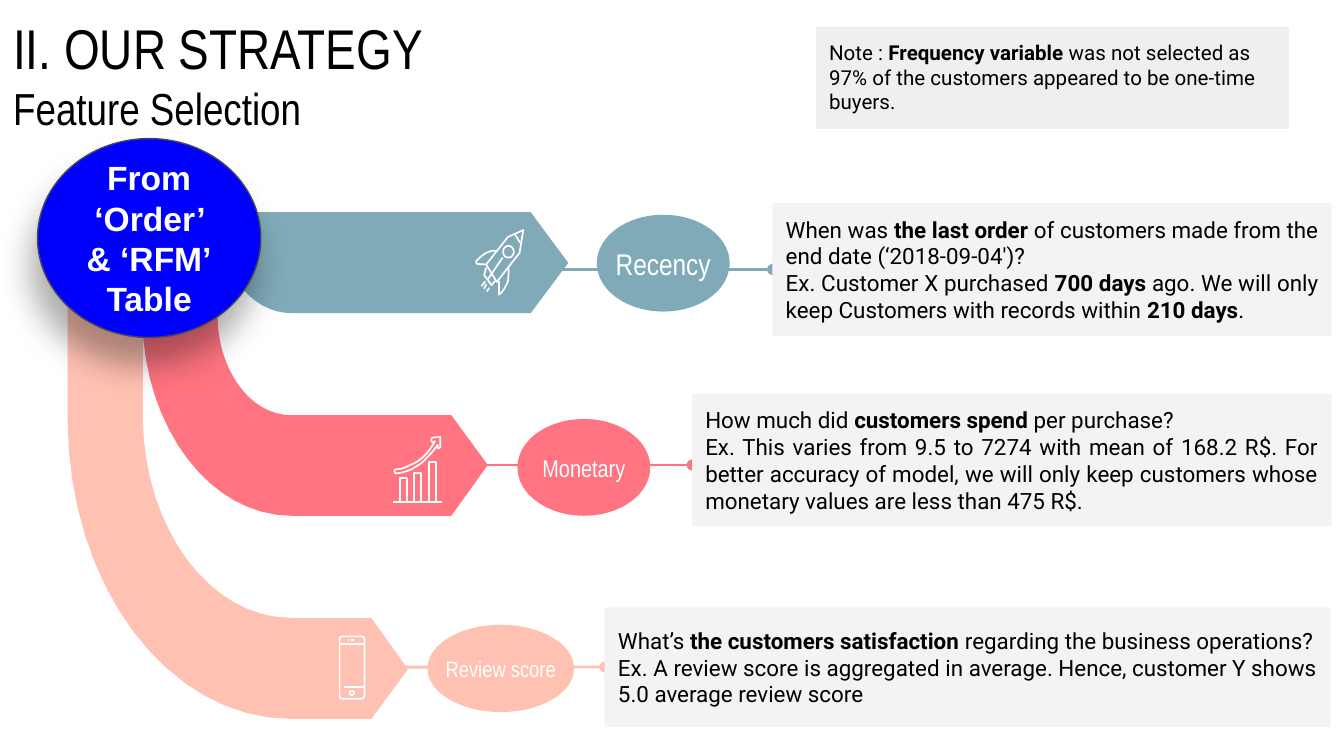
from pptx import Presentation
from pptx.dml.color import RGBColor
from pptx.enum.shapes import MSO_CONNECTOR as Link, MSO_SHAPE as Kind
from pptx.enum.text import MSO_ANCHOR as Anchor, PP_ALIGN as Align
from pptx.oxml import parse_xml
from pptx.oxml.ns import nsdecls, qn
from pptx.util import Cm, Pt

INSET = Cm(0.25)
BODY = {"name": "Roboto", "size": Pt(12)}
NARROW = "Arial Narrow"


def hue(code):
    return RGBColor.from_string(code)


def put(obj, vals):
    for key, val in vals.items():
        setattr(obj, key, val)


def xml(text):
    return parse_xml(text.replace(">", f" {nsdecls('a')}>", 1))


def paint(shape, fill=None, line=None, width=0.75):
    shape.shadow.inherit = False
    if fill:
        shape.fill.solid()
        shape.fill.fore_color.rgb = hue(fill)
    else:
        shape.fill.background()
    if line:
        shape.line.color.rgb = hue(line)
        shape.line.width = Pt(width)
    else:
        shape.line.fill.background()


def write(shape, paras, fonts, color="000000", align=Align.LEFT,
          anchor=Anchor.MIDDLE, wrap=True):
    """Fill a shape with paragraphs; **marks** set bold runs."""
    frame = shape.text_frame
    put(frame, {"word_wrap": wrap, "vertical_anchor": anchor,
                "margin_left": INSET, "margin_right": INSET,
                "margin_top": INSET, "margin_bottom": INSET})
    for i, (text, font) in enumerate(zip(paras, fonts)):
        para = frame.paragraphs[0] if i == 0 else frame.add_paragraph()
        para.alignment = align
        for j, part in enumerate(text.split("**")):
            if part:
                run = para.add_run()
                run.text = part
                put(run.font, {"bold": j % 2 == 1, **font})
                run.font.color.rgb = hue(color)


def add(slide, kind, box, fill, line=None):
    shape = slide.shapes.add_shape(kind, *map(Cm, box))
    paint(shape, fill, line)
    return shape


def bend(pts, steps=16):
    """Points along a cubic curve, without its start."""
    for i in range(1, steps + 1):
        t = i / steps
        u = 1 - t
        mix = (u ** 3, 3 * u * u * t, 3 * u * t * t, t ** 3)
        yield tuple(sum(m * p[k] for m, p in zip(mix, pts)) for k in (0, 1))


def trace(slide, left, top, path, **look):
    """Draw a path of M, L, C and Z steps, in cm from left and top."""
    build, here = None, None
    words = iter(path.split())
    for step in words:
        if step == "Z":
            build.add_line_segments([], close=True)
            continue
        count = 3 if step == "C" else 1
        pts = [(float(next(words)), float(next(words))) for _ in range(count)]
        spot = Cm(pts[0][0]), Cm(pts[0][1])
        if step == "M" and build is None:
            build = slide.shapes.build_freeform(*spot, scale=1.0)
        elif step == "M":
            build.move_to(*spot)
        else:
            line = bend([here] + pts) if step == "C" else pts
            build.add_line_segments([(Cm(x), Cm(y)) for x, y in line], close=False)
        here = pts[-1]
    paint(build.convert_to_shape(Cm(left), Cm(top)), **look)


def ring(x, y, a, b):
    """Path of an ellipse with centre x, y and radii a, b."""
    p, q = 0.55 * a, 0.55 * b
    return (f" M {x} {y - b} C {x + p} {y - b} {x + a} {y - q} {x + a} {y}"
            f" C {x + a} {y + q} {x + p} {y + b} {x} {y + b}"
            f" C {x - p} {y + b} {x - a} {y + q} {x - a} {y}"
            f" C {x - a} {y - q} {x - p} {y - b} {x} {y - b} Z")


def bar(x, top, wide=0.13, base=1.26):
    return f" M {x} {base} L {x} {top} L {x + wide} {top} L {x + wide} {base}"


ROCKET = ("M 0.9 0.01 L 0.61 0.14 L 0.2 0.66 L 0.4 0.99 L 0.83 0.44 Z"
          " M 0.75 0.1 L 0.84 0.25"
          " M 0.41 0.41 L 0.33 0.4 C 0.2 0.42 0.1 0.5 0.01 0.6"
          " C 0.01 0.64 0.02 0.65 0.04 0.65 L 0.2 0.66"
          " M 0.44 0.97 L 0.44 1.23 C 0.5 1.2 0.56 1.1 0.61 0.98"
          " C 0.62 0.9 0.63 0.8 0.62 0.72"
          " M 0.2 0.72 L 0.16 0.86 L 0.3 1.05 L 0.37 0.97 M 0.51 0.53 L 0.23 0.94"
          " M 0.18 0.98 L 0.11 1.07 M 0.2 1.03 L 0.16 1.12 M 0.26 1.1 L 0.21 1.17"
          + ring(0.62, 0.42, 0.1, 0.11))
CHART = ("M 0.01 1.26 L 0.93 1.26" + bar(0.14, 0.81) + bar(0.41, 0.71) + bar(0.69, 0.5)
         + " M 0.08 0.72 C 0.08 0.72 0.2 0.71 0.36 0.64 C 0.46 0.58 0.56 0.53 0.64 0.43"
         " C 0.71 0.36 0.79 0.28 0.85 0.18 L 0.86 0.25 L 0.9 0.23 L 0.9 0.03"
         " L 0.76 0.04 C 0.72 0.06 0.72 0.12 0.77 0.13 L 0.8 0.11"
         " C 0.66 0.38 0.48 0.51 0.33 0.56 C 0.2 0.64 0.08 0.64 0.08 0.64"
         " C 0.02 0.64 0.02 0.72 0.08 0.72 Z")
PHONE = ("M 0.07 0.02 L 0.43 0.02 C 0.47 0.02 0.49 0.05 0.49 0.1 L 0.49 1.12"
         " C 0.49 1.17 0.47 1.2 0.43 1.2 L 0.07 1.2 C 0.03 1.2 0.02 1.17 0.02 1.12"
         " L 0.02 0.1 C 0.02 0.05 0.03 0.02 0.07 0.02 Z"
         " M 0.02 0.16 L 0.49 0.16 M 0.1 0.98 L 0.49 0.98"
         " M 0.18 0.09 L 0.2 0.09 M 0.24 0.09 L 0.3 0.09" + ring(0.25, 1.09, 0.04, 0.04))

# Each row: colour, label and size, pill, note box, line start and height, arrow, icon, text
ROWS = [
    ("80AAB7", "Recency", 16, (11.28, 4.06, 2.51, 1.83), (14.6, 3.84, 10.57, 2.51), 10.03, None,
     (4.11, 4.01, "M 0 0 C 0 1.07 0.61 1.91 1.4 1.91 L 5.92 1.91 L 6.63 0.96 L 5.92 0 Z"),
     (8.99, 4.34, ROCKET),
     ["When was **the last order **of customers made from the end date (‘2018-09-04')?",
      "Ex. Customer X purchased **700 days** ago. We will only keep Customers with records "
      "within **210 days**."]),
    ("FF7480", "Monetary", 13, (9.78, 7.92, 2.51, 1.83), (13.08, 7.44, 12.09, 2.51), 8.46, 8.79,
     (2.69, 4.01, "M 0 0 L 0 2.06 C 0.05 4.11 1.3 5.74 2.82 5.74 L 5.84 5.74 L 6.53 4.78"
      " L 5.84 3.84 L 2.82 3.84 C 2.03 3.84 1.42 2.97 1.42 1.93 L 1.42 0 Z"),
     (7.42, 8.23, CHART),
     ["How much did **customers spend** per purchase?",
      "Ex. This varies from 9.5 to 7274 with mean of 168.2 R$. For better accuracy of model, "
      "we will only keep customers whose monetary values are less than 475 R$."]),
    ("FFC1B1", "Review score", 12, (8.08, 11.81, 2.77, 1.65), (11.43, 11.48, 13.72, 2.26), 6.86, None,
     (1.28, 4.01, "M 0 0 L 0 3.91 C 0 7.06 1.9 9.58 4.22 9.58 L 5.74 9.58 L 6.43 8.64"
      " L 5.74 7.67 L 4.22 7.67 C 2.69 7.67 1.45 5.99 1.42 3.91 L 1.42 0 Z"),
     (6.4, 12.01, PHONE),
     ["What’s **the customers satisfaction **regarding the business operations?",
      "Ex. A review score is aggregated in average. Hence, customer Y shows 5.0 average "
      "review score"]),
]


def row(slide, color, label, size, pill, box, start, high, arrow, icon, paras):
    # Line with a round end at the note
    left, top, _, tall = box
    y = Cm(high or top + tall / 2)
    line = slide.shapes.add_connector(Link.STRAIGHT, Cm(start), y, Cm(left), y)
    line.line.color.rgb = hue(color)
    line.line.width = Pt(1.5)
    props = line.element.spPr
    props.find(qn("a:ln")).append(xml('<a:tailEnd type="oval"></a:tailEnd>'))
    props.append(xml("<a:effectLst></a:effectLst>"))
    # Note
    note = add(slide, Kind.RECTANGLE, box, "F3F3F3")
    write(note, paras, [BODY] * 2, align=Align.JUSTIFY)
    if high is None:
        line.end_connect(note, 1)
    # Pill
    write(add(slide, Kind.OVAL, pill, color), [label], [{"name": NARROW, "size": Pt(size)}],
          "FFFFFF", Align.CENTER, wrap=False)
    # Arrow and icon
    trace(slide, *arrow, fill=color)
    trace(slide, *icon, line="FFFFFF", width=0.9)


def head(slide, box):
    title = slide.shapes.add_textbox(*map(Cm, box))
    write(title, ["II. OUR STRATEGY", "Feature Selection"],
          [{"name": NARROW, "size": Pt(n)} for n in (30, 24)], anchor=Anchor.TOP)


def hub(slide, box):
    disc = add(slide, Kind.FLOWCHART_CONNECTOR, box, "0000FF", "474758")
    font = {"name": "Arial", "size": Pt(18), "bold": True}
    write(disc, ["From ‘Order’ & ‘RFM’", "Table"], [font] * 2, "FFFFFF", Align.CENTER)
    disc.element.spPr.find(qn("a:effectLst")).append(xml(
        f'<a:outerShdw blurRad="{Pt(18)}" dist="{Pt(15)}" dir="{103 * 60000}" rotWithShape="0">'
        '<a:srgbClr val="000000"><a:alpha val="33000"/></a:srgbClr></a:outerShdw>'))


def remark(slide, box):
    write(add(slide, Kind.RECTANGLE, box, "EFEFEF"),
          ["Note : **Frequency variable** was not selected as 97% of the customers "
           "appeared to be one-time buyers."],
          [{**BODY, "size": Pt(11)}], anchor=Anchor.TOP)


def main():
    deck = Presentation()
    put(deck, {"slide_width": Cm(25.4), "slide_height": Cm(14.29)})
    slide = deck.slides.add_slide(deck.slide_layouts[6])
    head(slide, (0, 0, 24.41, 1.6))
    for item in ROWS:
        row(slide, *item)
    hub(slide, (0.71, 2.62, 4.22, 3.76))
    remark(slide, (15.42, 0.51, 8.94, 1.93))
    deck.save("out.pptx")


if __name__ == "__main__":
    main()
